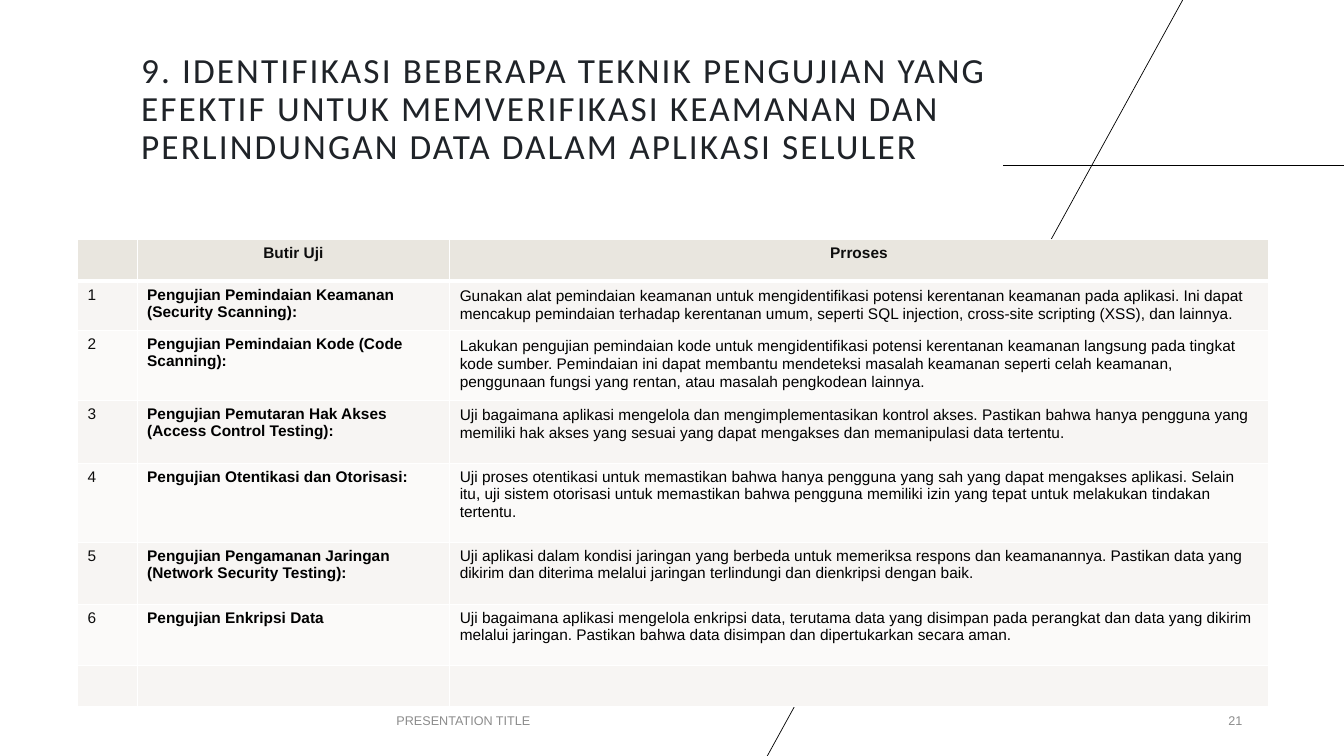
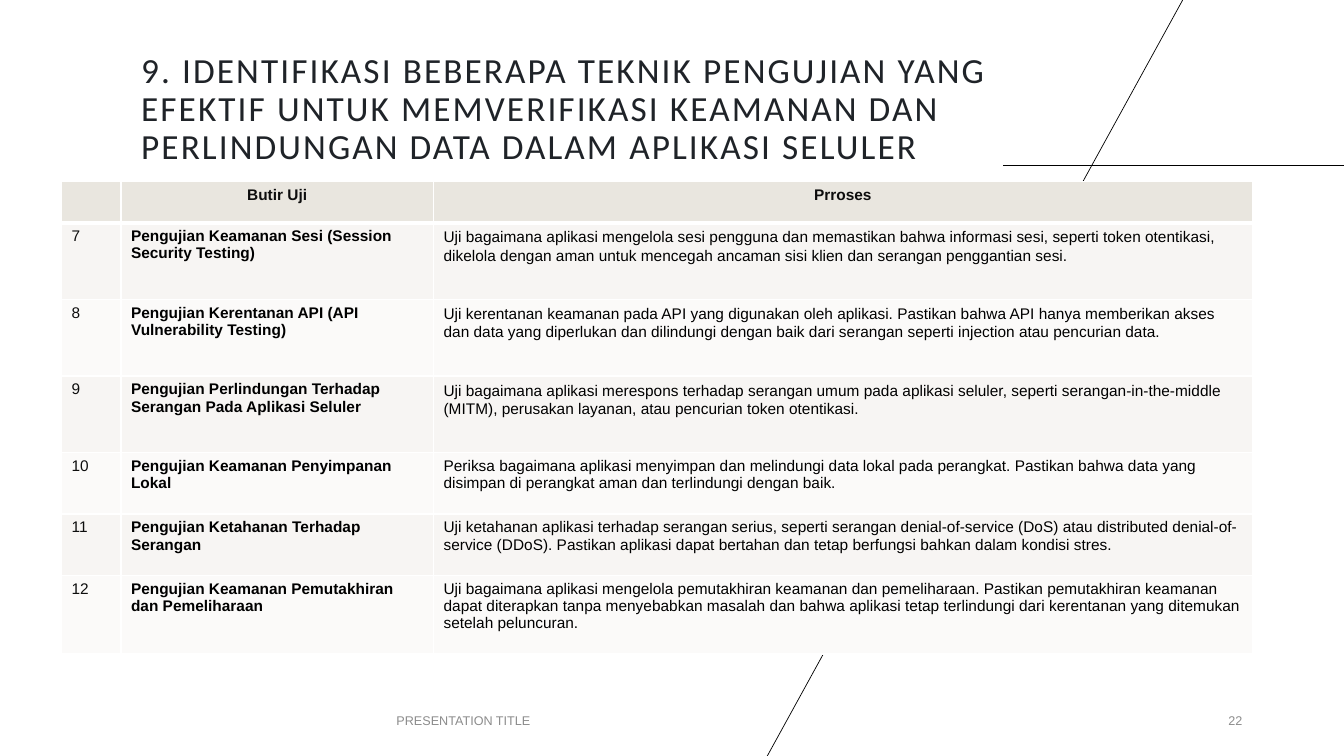
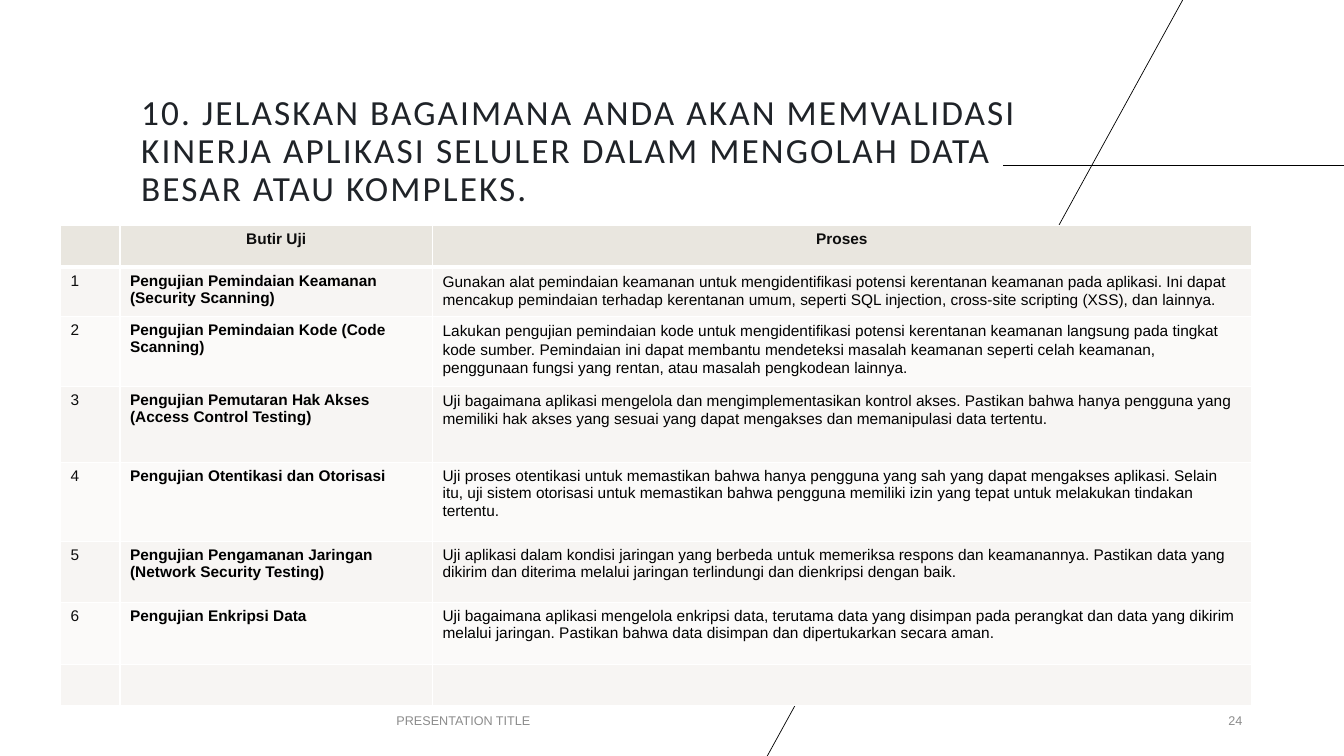
from lxml.etree import SubElement
from pptx import Presentation
from pptx.dml.color import RGBColor as Rgb
from pptx.enum.shapes import MSO_CONNECTOR as Connector
from pptx.enum.text import MSO_ANCHOR as Anchor, MSO_AUTO_SIZE as AutoSize, PP_ALIGN as Align
from pptx.oxml.ns import qn
from pptx.util import Inches, Pt

COLOURS = {
    "line": "000000", "body": "000000", "strong": "0D0D0D", "title": "1F2328",
    "footer": "8C8C8C", "border": "FFFFFF", "header": "E9E6DF",
    "band_dark": "F7F5F3", "band_light": "FBFAF9",
}
COLUMN_WIDTHS = [0.59, 3.1, 8.12]
FOOTER_TOP, FOOTER_HEIGHT = 6.95, 0.4
TIGHT_ROWS = 3  # leading test rows set with wider line spacing

TECHNIQUES_TITLE = ("9. IDENTIFIKASI BEBERAPA TEKNIK PENGUJIAN YANG EFEKTIF UNTUK MEMVERIFIKASI "
                    "KEAMANAN DAN PERLINDUNGAN DATA DALAM APLIKASI SELULER")
PERFORMANCE_TITLE = ("10. JELASKAN BAGAIMANA ANDA AKAN MEMVALIDASI KINERJA APLIKASI SELULER "
                     "DALAM MENGOLAH DATA BESAR ATAU KOMPLEKS.")

BASIC_TESTS = [
    ("Pengujian Pemindaian Keamanan (Security Scanning)",
     "Gunakan alat pemindaian keamanan untuk mengidentifikasi potensi kerentanan keamanan pada "
     "aplikasi. Ini dapat mencakup pemindaian terhadap kerentanan umum, seperti SQL injection, "
     "cross-site scripting (XSS), dan lainnya."),
    ("Pengujian Pemindaian Kode (Code Scanning)",
     "Lakukan pengujian pemindaian kode untuk mengidentifikasi potensi kerentanan keamanan langsung "
     "pada tingkat kode sumber. Pemindaian ini dapat membantu mendeteksi masalah keamanan seperti "
     "celah keamanan, penggunaan fungsi yang rentan, atau masalah pengkodean lainnya."),
    ("Pengujian Pemutaran Hak Akses (Access Control Testing)",
     "Uji bagaimana aplikasi mengelola dan mengimplementasikan kontrol akses. Pastikan bahwa hanya "
     "pengguna yang memiliki hak akses yang sesuai yang dapat mengakses dan memanipulasi data "
     "tertentu."),
    ("Pengujian Otentikasi dan Otorisasi",
     "Uji proses otentikasi untuk memastikan bahwa hanya pengguna yang sah yang dapat mengakses "
     "aplikasi. Selain itu, uji sistem otorisasi untuk memastikan bahwa pengguna memiliki izin yang "
     "tepat untuk melakukan tindakan tertentu."),
    ("Pengujian Pengamanan Jaringan (Network Security Testing)",
     "Uji aplikasi dalam kondisi jaringan yang berbeda untuk memeriksa respons dan keamanannya. "
     "Pastikan data yang dikirim dan diterima melalui jaringan terlindungi dan dienkripsi dengan "
     "baik."),
    ("Pengujian Enkripsi Data",
     "Uji bagaimana aplikasi mengelola enkripsi data, terutama data yang disimpan pada perangkat dan "
     "data yang dikirim melalui jaringan. Pastikan bahwa data disimpan dan dipertukarkan secara "
     "aman."),
]
ADVANCED_TESTS = [
    ("Pengujian Keamanan Sesi (Session Security Testing)",
     "Uji bagaimana aplikasi mengelola sesi pengguna dan memastikan bahwa informasi sesi, seperti "
     "token otentikasi, dikelola dengan aman untuk mencegah ancaman sisi klien dan serangan "
     "penggantian sesi."),
    ("Pengujian Kerentanan API (API Vulnerability Testing)",
     "Uji kerentanan keamanan pada API yang digunakan oleh aplikasi. Pastikan bahwa API hanya "
     "memberikan akses dan data yang diperlukan dan dilindungi dengan baik dari serangan seperti "
     "injection atau pencurian data."),
    ("Pengujian Perlindungan Terhadap Serangan Pada Aplikasi Seluler",
     "Uji bagaimana aplikasi merespons terhadap serangan umum pada aplikasi seluler, seperti "
     "serangan-in-the-middle (MITM), perusakan layanan, atau pencurian token otentikasi."),
    ("Pengujian Keamanan Penyimpanan Lokal",
     "Periksa bagaimana aplikasi menyimpan dan melindungi data lokal pada perangkat. Pastikan bahwa "
     "data yang disimpan di perangkat aman dan terlindungi dengan baik."),
    ("Pengujian Ketahanan Terhadap Serangan",
     "Uji ketahanan aplikasi terhadap serangan serius, seperti serangan denial-of-service (DoS) atau "
     "distributed denial-of-service (DDoS). Pastikan aplikasi dapat bertahan dan tetap berfungsi "
     "bahkan dalam kondisi stres."),
    ("Pengujian Keamanan Pemutakhiran dan Pemeliharaan",
     "Uji bagaimana aplikasi mengelola pemutakhiran keamanan dan pemeliharaan. Pastikan pemutakhiran "
     "keamanan dapat diterapkan tanpa menyebabkan masalah dan bahwa aplikasi tetap terlindungi dari "
     "kerentanan yang ditemukan setelah peluncuran."),
]


def write(frame, text, *, size=11, font="Arial", colour="body", bold=False,
          align=Align.LEFT, line_spacing=None, space_after=None, tracking=None):
    """Put one formatted paragraph in a text frame."""
    paragraph = frame.paragraphs[0]
    paragraph.alignment = align
    if line_spacing:
        paragraph.line_spacing = line_spacing
    if space_after:
        paragraph.space_after = Pt(space_after)
    run = paragraph.add_run()
    run.text = text
    run.font.size = Pt(size)
    run.font.name = font
    run.font.bold = bold
    run.font.color.rgb = Rgb.from_string(COLOURS[colour])
    if tracking:
        run.font._element.set("spc", str(int(tracking * 100)))


def add_rule(slide, start, end):
    """Thin decorative line."""
    rule = slide.shapes.add_connector(Connector.STRAIGHT, *map(Inches, start + end))
    rule.line.color.rgb = Rgb.from_string(COLOURS["line"])
    rule.line.width = Pt(0.5)
    SubElement(rule._element.spPr, qn("a:effectLst"))


def add_footer(slide, text, left, width, align):
    box = slide.shapes.add_textbox(*map(Inches, (left, FOOTER_TOP, width, FOOTER_HEIGHT)))
    box.text_frame.word_wrap = True
    box.text_frame.vertical_anchor = Anchor.MIDDLE
    write(box.text_frame, text, size=9, colour="footer", align=align)


def set_title(slide, text, gap_below):
    """Title sits at the bottom of its box, gap_below above the edge."""
    title = slide.shapes.title
    title.left, title.top, title.width, title.height = map(Inches, (1.3, 0.81, 9.17, 1.32))
    frame = title.text_frame
    frame.word_wrap = True
    frame.auto_size = AutoSize.NONE
    frame.vertical_anchor = Anchor.BOTTOM
    frame.margin_bottom = Inches(0.05 + gap_below)
    write(frame, text, size=25.2, font="Calibri", colour="title", line_spacing=0.9, tracking=1.5)


def style_cell(cell, fill, top=1, bottom=1):
    """Fill a cell and give it white borders, widths in points."""
    properties = cell._tc.get_or_add_tcPr()
    for side, width in (("L", 1), ("R", 1), ("T", top), ("B", bottom)):
        border = SubElement(properties, qn(f"a:ln{side}"), w=str(Pt(width)))
        SubElement(SubElement(border, qn("a:solidFill")), qn("a:srgbClr"), val=COLOURS["border"])
    cell.fill.solid()
    cell.fill.fore_color.rgb = Rgb.from_string(COLOURS[fill])


def add_test_table(slide, left, top, heights, process_heading, tests, first_number):
    """Numbered tests under a header; rows beyond the tests stay empty."""
    table = slide.shapes.add_table(
        len(heights), len(COLUMN_WIDTHS),
        *map(Inches, (left, top, sum(COLUMN_WIDTHS), sum(heights)))).table
    table.horz_banding = False
    for column, width in zip(table.columns, COLUMN_WIDTHS):
        column.width = Inches(width)
    for index, height in enumerate(heights):
        table.rows[index].height = Inches(height)
        for cell in table.rows[index].cells:
            if index == 0:
                style_cell(cell, "header", bottom=3)
            else:
                style_cell(cell, "band_dark" if index % 2 else "band_light",
                           top=3 if index == 1 else 1)

    # Header row
    for column, heading in ((1, "Butir Uji"), (2, process_heading)):
        write(table.cell(0, column).text_frame, heading, colour="strong", bold=True,
              align=Align.CENTER)

    # Test rows
    for row, (name, process) in enumerate(tests, start=1):
        number, item, steps = (table.cell(row, column).text_frame for column in range(3))
        spacing = {"line_spacing": 1.07, "space_after": 8} if row <= TIGHT_ROWS else {}
        write(number, str(first_number + row - 1), colour="strong")
        write(item, name, bold=True)
        write(steps, process, **spacing)


def add_test_slide(deck, title, page, gap_below=0, **table):
    slide = deck.slides.add_slide(deck.slide_layouts[5])
    add_rule(slide, (9.95, 1.64), (13.33, 1.64))
    add_rule(slide, (11.73, 0), (7.61, 7.5))
    set_title(slide, title, gap_below)
    add_footer(slide, "PRESENTATION TITLE", 2.69, 3.81, Align.CENTER)
    add_footer(slide, str(page), 9.42, 3, Align.RIGHT)
    add_test_table(slide, **table)


def main():
    deck = Presentation()
    deck.slide_width, deck.slide_height = Inches(13.33), Inches(7.5)

    # On the first listing, all names but the last end in a colon
    listed_tests = [(name + ":", process) for name, process in BASIC_TESTS[:-1]] + BASIC_TESTS[-1:]
    add_test_slide(deck, TECHNIQUES_TITLE, 21, gap_below=0.42, left=0.77, top=2.38,
                   heights=[0.41, 0.46, 0.64, 0.63, 0.78, 0.62, 0.6, 0.41],
                   process_heading="Prroses", tests=listed_tests, first_number=1)
    add_test_slide(deck, TECHNIQUES_TITLE, 22, gap_below=0.42, left=0.61, top=1.8,
                   heights=[0.41, 0.76, 0.76, 0.76, 0.61, 0.61, 0.78],
                   process_heading="Prroses", tests=ADVANCED_TESTS, first_number=7)
    add_test_slide(deck, PERFORMANCE_TITLE, 24, left=0.6, top=2.24,
                   heights=[0.41, 0.46, 0.65, 0.76, 0.78, 0.61, 0.61, 0.41],
                   process_heading="Proses", tests=BASIC_TESTS, first_number=1)
    deck.save("out.pptx")


if __name__ == "__main__":
    main()
